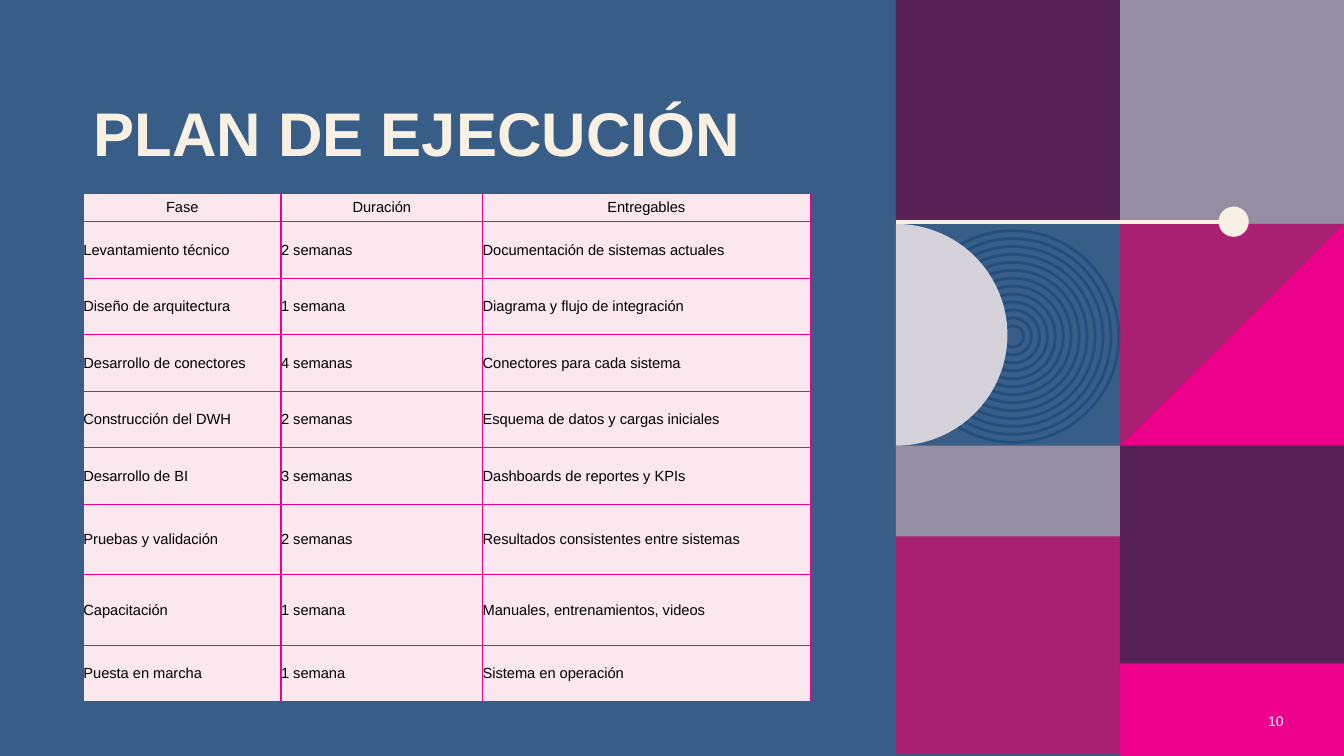
from math import cos, pi, sin

from lxml import etree
from pptx import Presentation
from pptx.dml.color import RGBColor
from pptx.enum.shapes import MSO_CONNECTOR, MSO_SHAPE
from pptx.enum.text import MSO_ANCHOR, MSO_AUTO_SIZE, PP_ALIGN
from pptx.oxml.ns import qn
from pptx.util import Inches, Pt

RECT, OVAL = MSO_SHAPE.RECTANGLE, MSO_SHAPE.OVAL
STRAIGHT = MSO_CONNECTOR.STRAIGHT
LEFT, CENTER, RIGHT = PP_ALIGN.LEFT, PP_ALIGN.CENTER, PP_ALIGN.RIGHT
TOP, MIDDLE = MSO_ANCHOR.TOP, MSO_ANCHOR.MIDDLE
NO_FIT = MSO_AUTO_SIZE.NONE

BLUE = RGBColor(0x38, 0x5E, 0x88)
NAVY = RGBColor(0x22, 0x4E, 0x7F)
PINK = RGBColor(0xEC, 0x00, 0x8C)
BERRY = RGBColor(0xAA, 0x20, 0x70)
PLUM = RGBColor(0x58, 0x21, 0x56)
LILAC = RGBColor(0x95, 0x8E, 0xA2)
MIST = RGBColor(0xD5, 0xD2, 0xDA)
CREAM = RGBColor(0xF8, 0xF0, 0xE3)
BLUSH = RGBColor(0xFB, 0xE7, 0xEE)
WHITE = RGBColor(0xFF, 0xFF, 0xFF)
BLACK = RGBColor(0x00, 0x00, 0x00)

WIDE, HIGH = Inches(13.33), Inches(7.5)
COLS = 24
TILE = 4
MID, FAR = COLS - 2 * TILE, COLS - TILE
EDGE, SPAN = 1.49, 12.98

TILES = [
    (FAR, TILE, TILE, TILE, PINK),
    (FAR, 0, TILE, TILE, LILAC),
    (MID, 0, TILE, TILE, PLUM),
    (MID, 9.47, TILE, TILE, BERRY),
    (FAR, 7.96, TILE, TILE, PLUM),
    (FAR, 11.85, TILE, 1.65, PINK),
    (MID, 7.96, TILE, 1.62, LILAC),
]
PLAN = [
    ("Fase", "Duración", "Entregables"),
    ("Levantamiento técnico", "2 semanas", "Documentación de sistemas actuales"),
    ("Diseño de arquitectura", "1 semana", "Diagrama y flujo de integración"),
    ("Desarrollo de conectores", "4 semanas", "Conectores para cada sistema"),
    ("Construcción del DWH", "2 semanas", "Esquema de datos y cargas iniciales"),
    ("Desarrollo de BI", "3 semanas", "Dashboards de reportes y KPIs"),
    ("Pruebas y validación", "2 semanas", "Resultados consistentes entre sistemas"),
    ("Capacitación", "1 semana", "Manuales, entrenamientos, videos"),
    ("Puesta en marcha", "1 semana", "Sistema en operación"),
]
WIDTHS = [3.53, 3.6, 5.85]
HEIGHTS = [0.5] + [1.01] * 5 + [1.26] * 2 + [1.01]


class Deck:
    """Draws styled elements on one slide over a grid of square cells."""

    font = "Arial"

    def __init__(self):
        self.prs = Presentation()
        self.prs.slide_width, self.prs.slide_height = WIDE, HIGH
        self.slide = self.prs.slides.add_slide(self.prs.slide_layouts[5])
        self.shapes = self.slide.shapes
        back = self.slide.background.fill
        back.solid()
        back.fore_color.rgb = BLUE

    def grid(self, *cells):
        return [round(cell * WIDE / COLS) for cell in cells]

    def paint(self, shape, color):
        shape.shadow.inherit = False
        shape.fill.solid()
        shape.fill.fore_color.rgb = color
        shape.line.fill.background()

    def block(self, kind, x, y, w, h, color):
        self.paint(self.shapes.add_shape(kind, *self.grid(x, y, w, h)), color)

    def ring(self, x, y, size):
        box = self.grid(x - size / 2, y - size / 2, size, size)
        ring = self.shapes.add_shape(OVAL, *box)
        ring.shadow.inherit = False
        ring.fill.background()
        ring.line.color.rgb = NAVY
        ring.line.width = Pt(2)

    def outline(self, points, color):
        first, *rest = [self.grid(*point) for point in points]
        form = self.shapes.build_freeform(*first)
        form.add_line_segments(rest)
        self.paint(form.convert_to_shape(), color)

    def rule(self, x1, y1, x2, y2):
        rule = self.shapes.add_connector(STRAIGHT, *self.grid(x1, y1, x2, y2))
        rule.line.color.rgb = CREAM
        rule.line.width = Pt(3)
        etree.SubElement(rule._element.spPr, qn("a:effectLst"))

    def text(self, frame, words, size, color, align=LEFT, bold=False):
        para = frame.paragraphs[0]
        para.alignment = align
        run = para.add_run()
        run.text = words
        font = run.font
        font.name, font.size, font.bold = self.font, Pt(size), bold
        font.color.rgb = color
        return para

    def title(self, words, *box):
        title = self.shapes.title
        title.left, title.top, title.width, title.height = self.grid(*box)
        frame = title.text_frame
        frame.word_wrap, frame.auto_size = True, NO_FIT
        frame.vertical_anchor = TOP
        self.text(frame, words, 44, CREAM, bold=True).line_spacing = 0.9

    def label(self, words, *box):
        frame = self.shapes.add_textbox(*self.grid(*box)).text_frame
        frame.word_wrap = True
        frame.vertical_anchor = MIDDLE
        self.text(frame, words, 10, WHITE, RIGHT)

    def border(self, cell):
        props = cell._tc.get_or_add_tcPr()
        for side in ("a:lnL", "a:lnR", "a:lnT", "a:lnB"):
            line = etree.SubElement(props, qn(side), w=str(Pt(1)))
            fill = etree.SubElement(line, qn("a:solidFill"))
            etree.SubElement(fill, qn("a:srgbClr"), val=str(PINK))

    def table(self, rows, widths, heights, x, y):
        box = self.grid(x, y, sum(widths), sum(heights))
        table = self.shapes.add_table(len(rows), len(widths), *box).table
        for col, width in zip(table.columns, self.grid(*widths)):
            col.width = width
        for row, height in zip(table.rows, self.grid(*heights)):
            row.height = height
        for r, row in enumerate(rows):
            for c, words in enumerate(row):
                cell = table.cell(r, c)
                cell.margin_left = cell.margin_right = 0
                cell.margin_top = cell.margin_bottom = 0
                cell.vertical_anchor = MIDDLE
                self.border(cell)
                cell.fill.solid()
                cell.fill.fore_color.rgb = BLUSH
                align = LEFT if r else CENTER
                self.text(cell.text_frame, words, 10.5, BLACK, align)


def main():
    deck = Deck()
    for tile in TILES:
        deck.block(RECT, *tile)
    deck.outline([(COLS, TILE), (FAR, 7.97), (FAR, TILE)], BERRY)
    for step in range(13):
        deck.ring(18.09, 6.01, 3.78 - step * 3.4 / 12)
    turns = [pi * step / 90 - pi / 2 for step in range(91)]
    arc = [(MID + 1.99 * cos(turn), 5.98 + 1.98 * sin(turn)) for turn in turns]
    deck.outline(arc, MIST)
    deck.rule(MID, 3.96, 22, 3.96)
    deck.block(OVAL, 21.76, 3.69, 0.54, 0.54, CREAM)
    deck.title("PLAN DE EJECUCIÓN", EDGE, 1.76, SPAN, 3.91)
    deck.label("10", 22.2, 12.51, 0.9, 0.72)
    deck.table(PLAN, WIDTHS, HEIGHTS, EDGE, 3.46)
    deck.prs.save("out.pptx")


if __name__ == "__main__":
    main()
